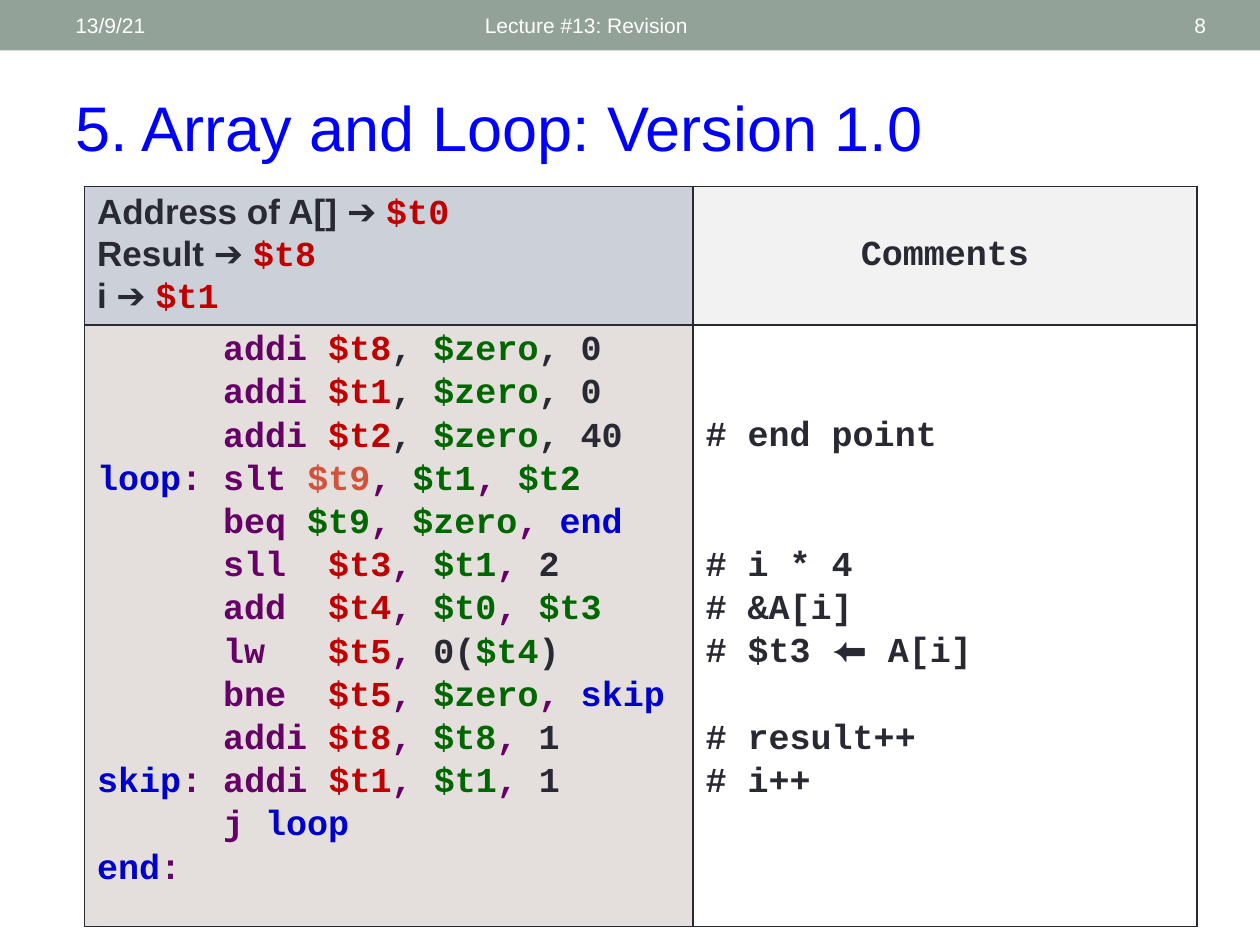
"""Build the slide on array and loop, version 1.0, with its annotated MIPS code table."""
import lxml.etree
import pptx
import pptx.dml.color
import pptx.enum.shapes
import pptx.enum.text
import pptx.oxml.ns
import pptx.util
from pptx.util import Inches

COLOURS = {
    "band": "93A299", "white": "FFFFFF", "title": "0000FF",
    "variables": "CCD1D9", "heading": "F2F2F2", "code": "E4DFDC",
    "d": "292934", "p": "660066", "r": "C00000",
    "g": "006600", "b": "0000CC", "o": "D2533C",
}
ANCHOR = pptx.enum.text.MSO_ANCHOR
ALIGN = pptx.enum.text.PP_ALIGN
LINE_POINTS = 24.65
SPACE_POINTS = 2


def rgb(name):
    return pptx.dml.color.RGBColor.from_string(COLOURS[name])


def add_run(paragraph, text, font_name, size, colour, bold=False):
    run = paragraph.add_run()
    run.text = text
    run.font.name = font_name
    run.font.size = pptx.util.Pt(size)
    run.font.bold = bold
    run.font.color.rgb = rgb(colour)


presentation = pptx.Presentation()
presentation.slide_width = Inches(10)
presentation.slide_height = Inches(7.5)
slide = presentation.slides.add_slide(presentation.slide_layouts[6])

band = slide.shapes.add_shape(
    pptx.enum.shapes.MSO_SHAPE.RECTANGLE, 0, 0, Inches(10), Inches(0.4))
band.shadow.inherit = False
band.fill.solid()
band.fill.fore_color.rgb = rgb("band")
band.line.fill.background()

labels = [
    ("Lecture #13: Revision", 3.75, 0.02, 4.5, 0.36, 12, "white", ANCHOR.MIDDLE, ALIGN.LEFT),
    ("13/9/21", 0.5, 0.02, 3.17, 0.36, 12, "white", ANCHOR.MIDDLE, ALIGN.LEFT),
    ("8", 8.72, 0.02, 0.95, 0.36, 12, "white", ANCHOR.MIDDLE, ALIGN.RIGHT),
    ("5. Array and Loop: Version 1.0", 0.5, 0.64, 9.17, 0.71, 36, "title",
     ANCHOR.BOTTOM, ALIGN.LEFT),
]
for text, left, top, width, height, size, colour, anchor, alignment in labels:
    box = slide.shapes.add_textbox(Inches(left), Inches(top), Inches(width), Inches(height))
    box.text_frame.word_wrap = True
    box.text_frame.vertical_anchor = anchor
    paragraph = box.text_frame.paragraphs[0]
    paragraph.alignment = alignment
    add_run(paragraph, text, "Arial", size, colour)

table = slide.shapes.add_table(
    2, 2, Inches(0.67), Inches(1.48), Inches(8.83), Inches(5.86)).table
table.columns[0].width = Inches(4.83)
table.columns[1].width = Inches(4)
table.rows[0].height = Inches(1.1)
table.rows[1].height = Inches(4.76)

variables_cell, heading_cell = table.cell(0, 0), table.cell(0, 1)
code_cell, comments_cell = table.cell(1, 0), table.cell(1, 1)
fills = [(variables_cell, "variables"), (heading_cell, "heading"),
         (code_cell, "code"), (comments_cell, "white")]
for cell, fill in fills:
    for edge in ("a:lnL", "a:lnR", "a:lnT", "a:lnB"):
        line = lxml.etree.SubElement(
            cell._tc.get_or_add_tcPr(), pptx.oxml.ns.qn(edge), w=str(pptx.util.Pt(1)))
        solid = lxml.etree.SubElement(line, pptx.oxml.ns.qn("a:solidFill"))
        lxml.etree.SubElement(solid, pptx.oxml.ns.qn("a:srgbClr"), val=COLOURS["d"])
    cell.fill.solid()
    cell.fill.fore_color.rgb = rgb(fill)

variables = [("Address of A[] ➔ ", "$t0"), ("Result ➔ ", "$t8"), ("i ➔ ", "$t1")]
variables_cell.text_frame.text = "\n".join([""] * len(variables))
for paragraph, (meaning, register) in zip(variables_cell.text_frame.paragraphs, variables):
    add_run(paragraph, meaning, "Arial", 20, "d", True)
    add_run(paragraph, register, "Courier New", 20, "r", True)

heading_cell.vertical_anchor = ANCHOR.MIDDLE
heading = heading_cell.text_frame.paragraphs[0]
heading.alignment = ALIGN.CENTER
add_run(heading, "Comments", "Courier New", 20, "d", True)

code_lines = [
    "p:addi |r:$t8|d:, |g:$zero|d:, 0",
    "p:addi |r:$t1|d:, |g:$zero|d:, 0",
    "p:addi |r:$t2|d:, |g:$zero|d:, 40",
    "b:loop|p:: slt |o:$t9|p:, |g:$t1|p:, |g:$t2",
    "p:beq |g:$t9|p:, |g:$zero|p:, |b:end",
    "p:sll  |r:$t3|p:, |g:$t1|p:, |d:2",
    "p:add  |r:$t4|p:, |g:$t0|p:, |g:$t3",
    "p:lw   |r:$t5|p:, |d:0(|g:$t4|d:)",
    "p:bne  |r:$t5|p:, |g:$zero|p:, |b:skip",
    "p:addi |r:$t8|p:, |g:$t8|p:, |d:1",
    "b:skip|p:: addi |r:$t1|p:, |g:$t1|p:, |d:1",
    "p:j |b:loop",
    "b:end|p::",
]
code_cell.text_frame.text = "\n".join([""] * len(code_lines))
for paragraph, code_line in zip(code_cell.text_frame.paragraphs, code_lines):
    paragraph.space_before = pptx.util.Pt(SPACE_POINTS)
    if not code_line.startswith("b:"):
        properties = paragraph._p.get_or_add_pPr()
        properties.set("marL", str(Inches(1)))
        properties.set("indent", "0")
    for token in code_line.split("|"):
        colour, text = token.split(":", 1)
        add_run(paragraph, text, "Courier New", 20, colour, True)

comments = [(2, "# end point"), (5, "# i * 4"), (6, "# &A[i]"),
            (7, "# $t3 ⬅ A[i]"), (9, "# result++"), (10, "# i++")]
first_row = comments[0][0]
comments_cell.margin_top = Inches(0.05) + pptx.util.Pt(first_row * LINE_POINTS)
comments_cell.text_frame.text = "\n".join([""] * len(comments))
previous_row = first_row - 1
for paragraph, (row, text) in zip(comments_cell.text_frame.paragraphs, comments):
    skipped_lines = row - previous_row - 1
    paragraph.space_before = pptx.util.Pt(SPACE_POINTS + skipped_lines * LINE_POINTS)
    add_run(paragraph, text, "Courier New", 20, "d", True)
    previous_row = row

presentation.save("out.pptx")
